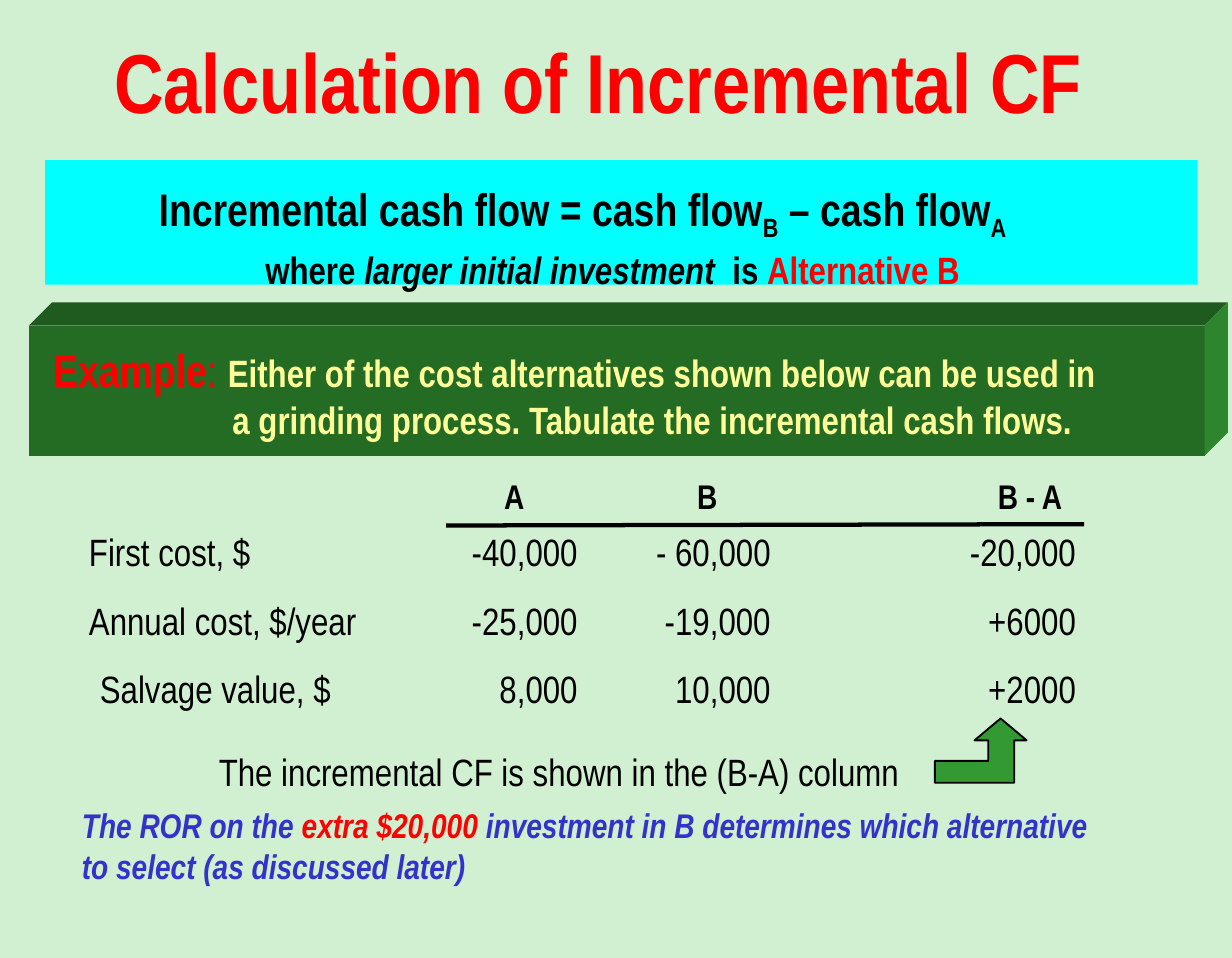
from lxml import etree
from pptx import Presentation
from pptx.dml.color import RGBColor
from pptx.enum.shapes import MSO_CONNECTOR, MSO_SHAPE
from pptx.enum.text import MSO_ANCHOR, PP_ALIGN
from pptx.oxml.ns import qn
from pptx.util import Inches, Pt

LEFT, CENTER, RIGHT = PP_ALIGN.LEFT, PP_ALIGN.CENTER, PP_ALIGN.RIGHT
MIDDLE = MSO_ANCHOR.MIDDLE
FONT = "Arial Narrow"
NO_GRID_STYLE = "{2D5ABB26-0587-4C30-8999-92F81FD0307C}"

MINT = RGBColor(0xD1, 0xF0, 0xD1)
CYAN = RGBColor(0x00, 0xFF, 0xFF)
RED = RGBColor(0xFF, 0x00, 0x00)
BLACK = RGBColor(0x00, 0x00, 0x00)
BLUE = RGBColor(0x33, 0x33, 0xCC)
YELLOW = RGBColor(0xFF, 0xFF, 0x99)
GREEN = RGBColor(0x33, 0x99, 0x33)
BAR_FRONT = RGBColor(0x24, 0x6B, 0x24)
BAR_TOP = RGBColor(0x1F, 0x5A, 0x1F)
BAR_SIDE = RGBColor(0x2D, 0x86, 0x2D)

# Content: a run is (text, size, colour, styles), where the styles are
# b bold, i italic, s subscript
TITLE = [("Calculation of Incremental CF", 44, RED, "b")]
FORMULA = [
    [("Incremental cash flow = cash flow", 24, BLACK, "b"), ("B", 24, BLACK, "bs"),
     (" – cash flow", 24, BLACK, "b"), ("A", 24, BLACK, "bs")],
    [("where ", 20, BLACK, "b"), ("larger initial investment  ", 20, BLACK, "bi"),
     ("is ", 20, BLACK, "b"), ("Alternative B", 20, RED, "b")],
]
EXAMPLE = [
    [("Example", 24, RED, "b"), (": ", 24, RED, ""),
     ("Either of the cost alternatives shown below can be used in", 20, YELLOW, "b")],
    [("a grinding process. Tabulate the incremental cash flows.", 20, YELLOW, "b")],
]
CASH_FLOWS = [
    ("", "A", "B", "B - A"),
    ("First cost, $", "-40,000", "- 60,000", "-20,000"),
    ("Annual cost, $/year", "-25,000", "-19,000", "+6000"),
    ("Salvage value, $", "8,000", "10,000", "+2000"),
]
COLUMN_NOTE = [[("The incremental CF is shown in the (B-A) column", 20, BLACK, "")]]
CONCLUSION = [
    [("The ROR on the ", 18, BLUE, "bi"), ("extra $20,000 ", 18, RED, "bi"),
     ("investment in B determines which alternative", 18, BLUE, "bi")],
    [("to select (as discussed later)", 18, BLUE, "bi")],
]

prs = Presentation()
prs.slide_width, prs.slide_height = Inches(9), Inches(7)
s = prs.slides.add_slide(prs.slide_layouts[5])
s.background.fill.solid()
s.background.fill.fore_color.rgb = MINT


def write(p, runs, align=LEFT, indent=0):
    p.alignment = align
    if indent:
        p._p.get_or_add_pPr().set("marL", str(Inches(indent)))
    for text, size, color, styles in runs:
        r = p.add_run()
        r.text = text
        r.font.name, r.font.size = FONT, Pt(size)
        r.font.color.rgb = color
        r.font.bold, r.font.italic = "b" in styles, "i" in styles
        if "s" in styles:
            r.font._element.set("baseline", "-25000")


def text_box(x, y, w, h, lines, align=LEFT, indents=(0, 0), gap=0):
    tf = s.shapes.add_textbox(Inches(x), Inches(y), Inches(w), Inches(h)).text_frame
    tf.word_wrap = True
    for i, runs in enumerate(lines):
        p = tf.add_paragraph() if i else tf.paragraphs[0]
        write(p, runs, align, indents[i])
        p.space_before = Pt(gap if i else 0)


def paint(sp, fill, line=None):
    sp.shadow.inherit = False
    sp.fill.solid()
    sp.fill.fore_color.rgb = fill
    if line is None:
        sp.line.fill.background()
    else:
        sp.line.color.rgb = line
        sp.line.width = Pt(1)


def polygon(points, fill, line=None):
    pts = [(Inches(x), Inches(y)) for x, y in points]
    fb = s.shapes.build_freeform(*pts[0])
    fb.add_line_segments(pts[1:], close=True)
    paint(fb.convert_to_shape(), fill, line)


# Title
title = s.shapes.title
title.left, title.top = Inches(0.5), Inches(0.17)
title.width, title.height = Inches(7.75), Inches(0.83)
title.text_frame.vertical_anchor = MIDDLE
write(title.text_frame.paragraphs[0], TITLE, CENTER)

# Formula band
band = s.shapes.add_shape(MSO_SHAPE.RECTANGLE, Inches(0.33), Inches(1.17),
                          Inches(8.42), Inches(0.91))
paint(band, CYAN)
text_box(0.67, 1.27, 7.17, 0.84, FORMULA, CENTER, (0, 0.44), gap=2)

# Example bar with depth
x0, x1, y0, y1, depth = 0.21, 8.8, 2.38, 3.33, 0.17
polygon([(x0, y0), (x1, y0), (x1, y1), (x0, y1)], BAR_FRONT)
polygon([(x0, y0), (x0 + depth, y0 - depth), (x1 + depth, y0 - depth), (x1, y0)], BAR_TOP)
polygon([(x1, y0), (x1 + depth, y0 - depth), (x1 + depth, y1 - depth), (x1, y1)], BAR_SIDE)
text_box(0.29, 2.45, 8.3, 0.84, EXAMPLE, indents=(0, 1.31))

# Cash flow table
COLUMN_EDGES = (0.65, 3.0, 4.22, 5.63, 7.86)
HEADER_INSETS = (0, 0.39, 0.39, 0.1)
HEADER_TOP, HEADER_H, ROW_H = 3.5, 0.32, 0.5
rows, cols = len(CASH_FLOWS), len(CASH_FLOWS[0])
table = s.shapes.add_table(
    rows, cols, Inches(COLUMN_EDGES[0]), Inches(HEADER_TOP),
    Inches(COLUMN_EDGES[-1] - COLUMN_EDGES[0]),
    Inches(HEADER_H + ROW_H * (rows - 1))).table
table.first_row = table.horz_banding = False
table._tbl.tblPr.find(qn("a:tableStyleId")).text = NO_GRID_STYLE
for c in range(cols):
    table.columns[c].width = Inches(COLUMN_EDGES[c + 1] - COLUMN_EDGES[c])
for i, row in enumerate(CASH_FLOWS):
    header = i == 0
    table.rows[i].height = Inches(HEADER_H if header else ROW_H)
    for c, text in enumerate(row):
        cell = table.cell(i, c)
        cell.fill.background()
        cell.vertical_anchor = MIDDLE
        cell.margin_top = cell.margin_bottom = 0
        cell.margin_left = Inches(0.08 if c == 0 and i == rows - 1 else 0)
        cell.margin_right = Inches(HEADER_INSETS[c] if header else 0)
        run = (text, 18, BLACK, "b") if header else (text, 20, BLACK, "")
        write(cell.text_frame.paragraphs[0], [run], RIGHT if c else LEFT)

# Rule under the column heads
rule = s.shapes.add_connector(MSO_CONNECTOR.STRAIGHT, Inches(3.26), Inches(3.84),
                              Inches(7.92), Inches(3.83))
rule.line.color.rgb = BLACK
rule.line.width = Pt(2.25)
etree.SubElement(rule._element.spPr, qn("a:effectLst"))

# Note with bent arrow up to the B - A column
text_box(1.5, 5.42, 5.3, 0.43, COLUMN_NOTE)
polygon([(7.31, 5.25), (7.12, 5.41), (7.22, 5.41), (7.22, 5.56), (6.83, 5.56),
         (6.83, 5.72), (7.41, 5.72), (7.41, 5.41), (7.5, 5.41)], GREEN, BLACK)

# Conclusion
text_box(0.5, 5.83, 7.82, 0.71, CONCLUSION)

prs.save("out.pptx")
